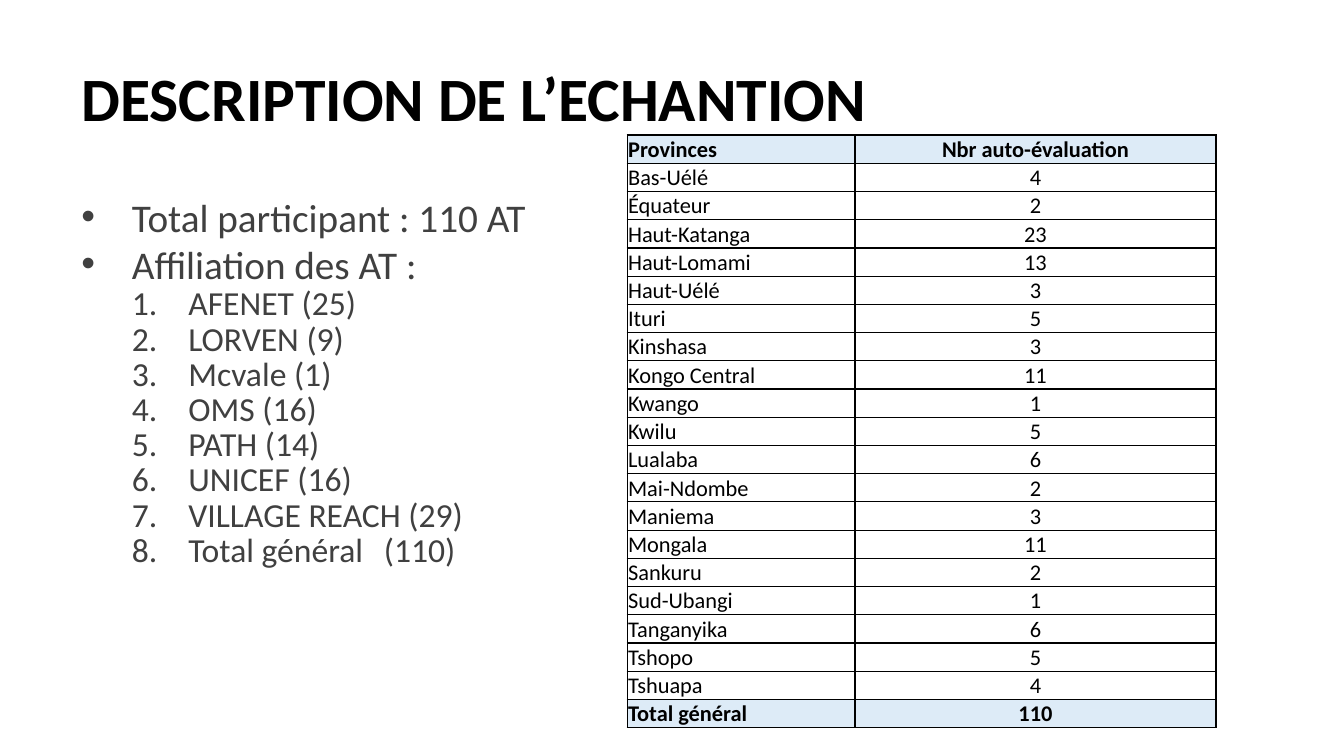
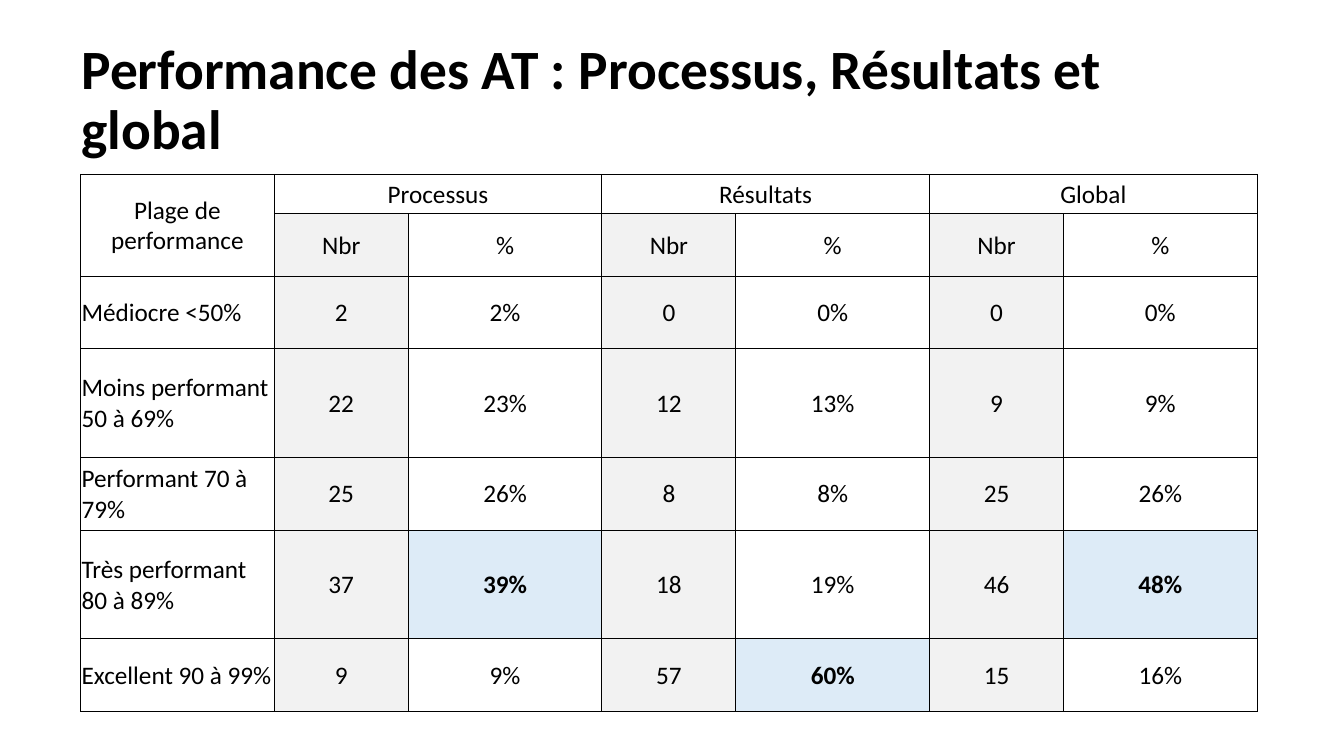
from lxml import etree
from pptx import Presentation
from pptx.dml.color import RGBColor
from pptx.enum import text
from pptx.oxml import ns
from pptx.util import Inches, Pt

BLACK = RGBColor(0x00, 0x00, 0x00)
BODY_GREY = RGBColor(0x40, 0x40, 0x40)
PALE_BLUE = RGBColor(0xDD, 0xEB, 0xF7)
PALE_GREY = RGBColor(0xF2, 0xF2, 0xF2)

PROVINCES = [
    ("Bas-Uélé", 4), ("Équateur", 2), ("Haut-Katanga", 23), ("Haut-Lomami", 13),
    ("Haut-Uélé", 3), ("Ituri", 5), ("Kinshasa", 3), ("Kongo Central", 11),
    ("Kwango", 1), ("Kwilu", 5), ("Lualaba", 6), ("Mai-Ndombe", 2),
    ("Maniema", 3), ("Mongala", 11), ("Sankuru", 2), ("Sud-Ubangi", 1),
    ("Tanganyika", 6), ("Tshopo", 5), ("Tshuapa", 4),
]
AFFILIATIONS = [
    "AFENET (25)", "LORVEN (9)", "Mcvale (1)", "OMS (16)", "PATH (14)",
    "UNICEF (16)", "VILLAGE REACH (29)", "Total général\t(110)",
]
PERFORMANCE = [
    ("Médiocre <50%", 2, "2%", 0, "0%", 0, "0%"),
    ("Moins performant 50 à 69%", 22, "23%", 12, "13%", 9, "9%"),
    ("Performant 70 à 79%", 25, "26%", 8, "8%", 25, "26%"),
    ("Très performant 80 à 89%", 37, "39%", 18, "19%", 46, "48%"),
    ("Excellent 90 à 99%", 9, "9%", 57, "60%", 15, "16%"),
]
BEST_SHARES = {"39%", "48%", "60%"}


class Deck:
    """Hold the shared style and the slide being built."""

    font = "Calibri"

    def __init__(self):
        self.presentation = Presentation()
        self.presentation.slide_width = Inches(13.33)
        self.presentation.slide_height = Inches(7.5)
        self.slide = None

    def new_slide(self, title, size):
        self.slide = self.presentation.slides.add_slide(self.presentation.slide_layouts[6])
        frame = self.text_box(0.71, 0.28, 11.5, 1.45)
        frame.vertical_anchor = text.MSO_ANCHOR.MIDDLE
        heading = frame.paragraphs[0]
        heading.line_spacing = 0.9
        self.add_run(heading, title, size, BLACK, True)

    def text_box(self, left, top, width, height):
        box = self.slide.shapes.add_textbox(
            Inches(left), Inches(top), Inches(width), Inches(height))
        box.text_frame.word_wrap = True
        return box.text_frame

    def add_run(self, paragraph, words, size, color, bold=False):
        run = paragraph.add_run()
        run.text = words
        run.font.name = self.font
        run.font.size = Pt(size)
        run.font.bold = bold
        run.font.color.rgb = color

    def list_item(self, frame, words, numbered=False):
        first = not frame.paragraphs[0].runs
        item = frame.paragraphs[0] if first else frame.add_paragraph()
        item.level = int(numbered)
        item.line_spacing = 0.7
        item.space_before = Pt(0 if first else 5 if numbered else 10)
        margin, hanging = (1.06, 0.56) if numbered else (0.5, 0.5)
        properties = item._p.get_or_add_pPr()
        properties.set("marL", str(Inches(margin)))
        properties.set("indent", str(-Inches(hanging)))
        if numbered:
            etree.SubElement(properties, ns.qn("a:buAutoNum"), type="arabicPeriod")
        else:
            etree.SubElement(properties, ns.qn("a:buFont"), typeface="Arial")
            etree.SubElement(properties, ns.qn("a:buChar"), char="•")
        self.add_run(item, words, 24 if numbered else 28, BODY_GREY)

    def table(self, left, top, widths, heights):
        grid = self.slide.shapes.add_table(
            len(heights), len(widths), Inches(left), Inches(top),
            Inches(sum(widths)), Inches(sum(heights))).table
        grid.first_row = grid.horz_banding = False
        for column, width in zip(grid.columns, widths):
            column.width = Inches(width)
        for row, height in zip(grid.rows, heights):
            row.height = Inches(height)
        return grid

    def cell(self, cell, words, size, line, centred=True, bold=False, fill=None):
        cell.margin_left = cell.margin_right = cell.margin_top = Inches(0.01)
        cell.margin_bottom = 0
        cell.vertical_anchor = text.MSO_ANCHOR.MIDDLE
        for side in ("lnL", "lnR", "lnT", "lnB"):
            border = etree.SubElement(
                cell._tc.get_or_add_tcPr(), ns.qn(f"a:{side}"), w=str(Pt(line)))
            paint = etree.SubElement(border, ns.qn("a:solidFill"))
            etree.SubElement(paint, ns.qn("a:srgbClr"), val=str(BLACK))
        if fill is None:
            cell.fill.background()
        else:
            cell.fill.solid()
            cell.fill.fore_color.rgb = fill
        paragraph = cell.text_frame.paragraphs[0]
        paragraph.alignment = text.PP_ALIGN.CENTER if centred else text.PP_ALIGN.LEFT
        if words != "":
            self.add_run(paragraph, str(words), size, BLACK, bold)


def build_sample(deck):
    deck.new_slide("DESCRIPTION DE L’ECHANTION", 44)
    summary = deck.text_box(0.71, 2, 4.79, 4.76)
    for point in ("Total participant : 110 AT", "Affiliation des AT :"):
        deck.list_item(summary, point)
    for affiliation in AFFILIATIONS:
        deck.list_item(summary, affiliation, numbered=True)

    total = sum(count for _, count in PROVINCES)
    rows = [("Provinces", "Nbr auto-évaluation"), *PROVINCES, ("Total général", total)]
    provinces = deck.table(6.22, 1.34, [2.26, 3.58], [0.28] * len(rows))
    for r, row in enumerate(rows):
        outer = r in (0, len(rows) - 1)
        for c, words in enumerate(row):
            deck.cell(provinces.cell(r, c), words, 16, 1, centred=c > 0,
                      bold=outer, fill=PALE_BLUE if outer else None)


def build_performance(deck):
    deck.new_slide("Performance des AT : Processus, Résultats et global", 39.6)
    rows = [
        ("Plage de performance", "Processus", "", "Résultats", "", "Global", ""),
        ("", *("Nbr", "%") * 3),
        *PERFORMANCE,
    ]
    scores = deck.table(0.8, 1.73, [1.92] + [1.33, 1.92] * 3,
                        [0.39, 0.62, 0.72, 1.08, 0.72, 1.08, 0.72])
    for r, row in enumerate(rows):
        for c, words in enumerate(row):
            best = words in BEST_SHARES
            count_column = r > 0 and c % 2 == 1
            fill = PALE_BLUE if best else PALE_GREY if count_column else None
            deck.cell(scores.cell(r, c), words, 18, 0.75,
                      centred=c > 0 or r < 2, bold=best, fill=fill)
    scores.cell(0, 0).merge(scores.cell(1, 0))
    for c in (1, 3, 5):
        scores.cell(0, c).merge(scores.cell(0, c + 1))


def main():
    deck = Deck()
    build_sample(deck)
    build_performance(deck)
    deck.presentation.save("out.pptx")


if __name__ == "__main__":
    main()
